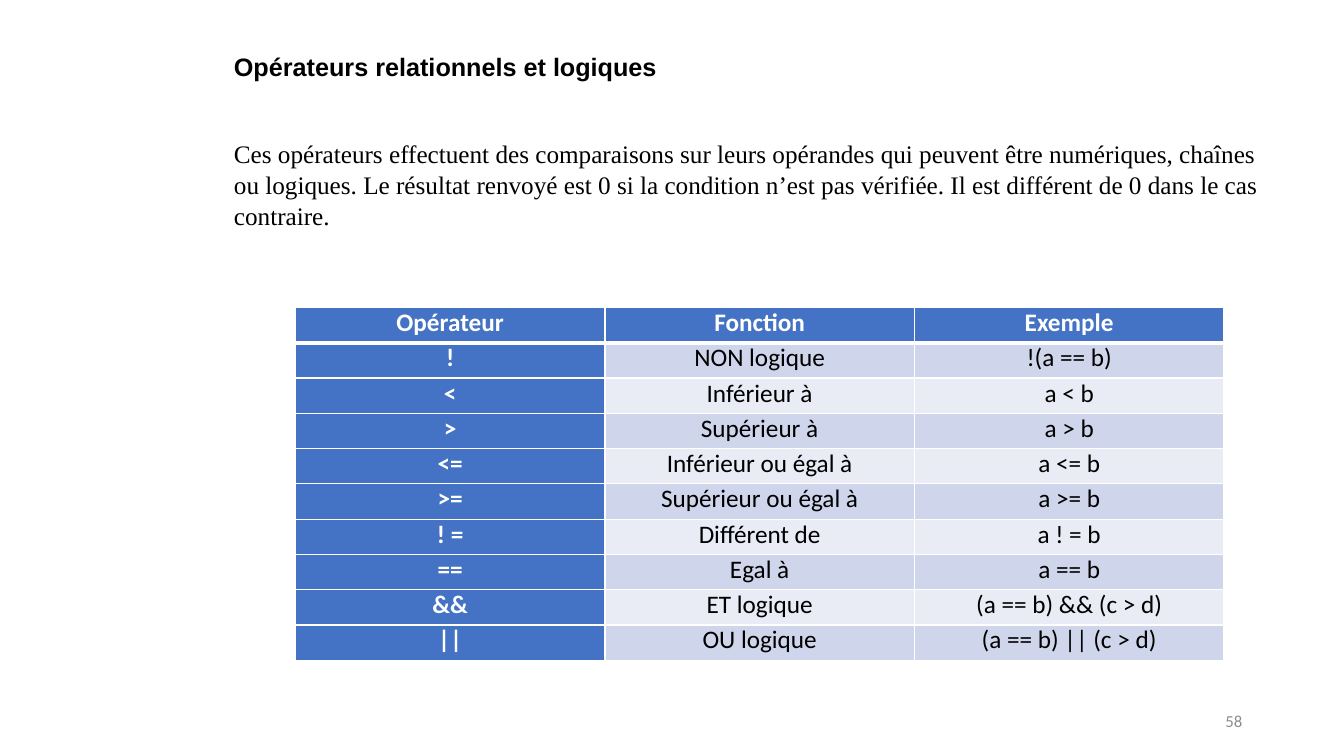
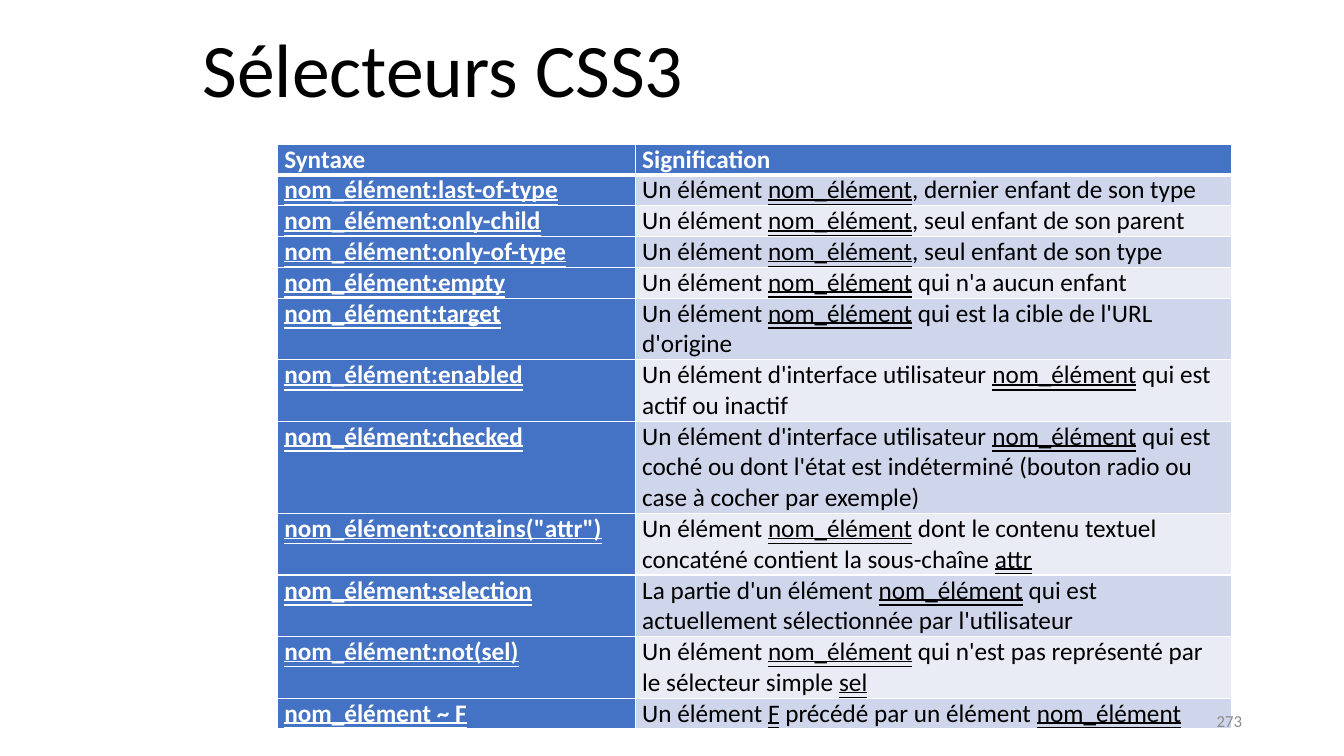
from lxml import etree
from pptx import Presentation
from pptx.dml.color import RGBColor
from pptx.enum import text
from pptx.oxml import ns
from pptx.util import Inches, Pt

BLACK = RGBColor(0x00, 0x00, 0x00)
WHITE = RGBColor(0xFF, 0xFF, 0xFF)
GREY = RGBColor(0x8C, 0x8C, 0x8C)
BLUE = RGBColor(0x44, 0x72, 0xC4)
BANDS = [RGBColor(0xE9, 0xEB, 0xF5), RGBColor(0xCF, 0xD5, 0xEA)]

LEFT, CENTER, RIGHT = text.PP_ALIGN.LEFT, text.PP_ALIGN.CENTER, text.PP_ALIGN.RIGHT
TOP, MIDDLE = text.MSO_ANCHOR.TOP, text.MSO_ANCHOR.MIDDLE
DOUBLE = text.MSO_UNDERLINE.DOUBLE_LINE

OPERATORS = [
    ("Opérateur", "Fonction", "Exemple"),
    ("!", "NON logique", "!(a == b)"),
    ("<", "Inférieur à", "a < b"),
    (">", "Supérieur à", "a > b"),
    ("<=", "Inférieur ou égal à", "a <= b"),
    (">=", "Supérieur ou égal à", "a >= b"),
    ("! =", "Différent de", "a ! = b"),
    ("==", "Egal à", "a == b"),
    ("&&", "ET logique", "(a == b) && (c > d)"),
    ("||", "OU logique", "(a == b) || (c > d)"),
]

# Text between asterisks is underlined.
SELECTORS = [
    ("Syntaxe", "Signification"),
    ("*nom_élément:last-of-type*", "Un élément *nom_élément*, dernier enfant de son type"),
    ("*nom_élément:only-child*", "Un élément *nom_élément*, seul enfant de son parent"),
    ("*nom_élément:only-of-type*", "Un élément *nom_élément*, seul enfant de son type"),
    ("*nom_élément:empty*", "Un élément *nom_élément* qui n'a aucun enfant"),
    ("*nom_élément:target*", "Un élément *nom_élément* qui est la cible de l'URL d'origine"),
    ("*nom_élément:enabled*",
     "Un élément d'interface utilisateur *nom_élément* qui est actif ou inactif"),
    ("*nom_élément:checked*",
     "Un élément d'interface utilisateur *nom_élément* qui est coché ou dont l'état est "
     "indéterminé (bouton radio ou case à cocher par exemple)"),
    ('*nom_élément:contains("attr")*',
     "Un élément *nom_élément* dont le contenu textuel concaténé contient la sous-chaîne *attr*"),
    ("*nom_élément:selection*",
     "La partie d'un élément *nom_élément* qui est actuellement sélectionnée par l'utilisateur"),
    ("*nom_élément:not(sel)*",
     "Un élément *nom_élément* qui n'est pas représenté par le sélecteur simple *sel*"),
    ("*nom_élément ~ F*", "Un élément *F* précédé par un élément *nom_élément*"),
]

SLIDES = [
    {
        "layout": 1,
        "title": "Opérateurs relationnels et logiques",
        "title_box": (2.22, 0.46, 10.45, 0.4),
        "title_font": {"name": "Arial", "size": Pt(18), "bold": True},
        "body": "Ces opérateurs effectuent des comparaisons sur leurs opérandes qui peuvent être "
                "numériques, chaînes ou logiques. Le résultat renvoyé est 0 si la condition n’est "
                "pas vérifiée. Il est différent de 0 dans le cas contraire.",
        "rows": OPERATORS,
        "table_at": (2.93, 3.05),
        "widths": [3.07] * 3,
        "row_height": 0.35,
        "align": CENTER,
        "number": "58",
    },
    {
        "layout": 5,
        "title": "Sélecteurs CSS3",
        "title_box": (1.91, 0.17, 11.6, 1.01),
        "title_font": {"name": "Calibri", "size": Pt(54), "bold": False},
        "body": None,
        "rows": SELECTORS,
        "table_at": (2.75, 1.43),
        "widths": [3.55, 5.92],
        "row_height": 0.3,
        "align": LEFT,
        "number": "273",
    },
]


def write(tf, content, color, font, align=LEFT, anchor=TOP):
    tf.word_wrap = True
    tf.vertical_anchor = anchor
    p = tf.paragraphs[0]
    p.alignment = align
    for i, part in enumerate(content.split("*")):
        if part:
            r = p.add_run()
            r.text = part
            r.font.color.rgb = color
            for key, value in font.items():
                setattr(r.font, key, value)
            if i % 2:
                r.font.underline = DOUBLE
    return p


def place(sp, box):
    for key, value in zip(("left", "top", "width", "height"), box):
        setattr(sp, key, Inches(value))
    sp.text_frame.auto_size = text.MSO_AUTO_SIZE.NONE


prs = Presentation()
prs.slide_width, prs.slide_height = Inches(13.33), Inches(7.5)

for page in SLIDES:
    s = prs.slides.add_slide(prs.slide_layouts[page["layout"]])
    place(s.shapes.title, page["title_box"])
    write(s.shapes.title.text_frame, page["title"], BLACK, page["title_font"])

    if page["body"]:
        sp = s.placeholders[1]
        place(sp, (2.22, 1.32, 10.45, 1.03))
        p = write(sp.text_frame, page["body"], BLACK, {"name": "Times New Roman", "size": Pt(18)})
        p.line_spacing = Pt(22)
        p.space_before = p.space_after = Pt(3)
        pPr = p._p.get_or_add_pPr()
        pPr.set("marL", "0")
        pPr.set("indent", "0")
        etree.SubElement(pPr, ns.qn("a:buNone"))

    rows, widths, height = page["rows"], page["widths"], page["row_height"]
    left, top = page["table_at"]
    table = s.shapes.add_table(
        len(rows), len(widths), Inches(left), Inches(top),
        Inches(sum(widths)), Inches(height * len(rows))).table
    for column, width in zip(table.columns, widths):
        column.width = Inches(width)
    for i, row in enumerate(rows):
        table.rows[i].height = Inches(height)
        for j, content in enumerate(row):
            cell = table.cell(i, j)
            cell.margin_left = cell.margin_right = Inches(0.07)
            cell.margin_top = cell.margin_bottom = 0
            tcPr = cell._tc.get_or_add_tcPr()
            for side in "LRTB":
                thick = (side, i) in (("B", 0), ("T", 1))
                ln = etree.SubElement(tcPr, ns.qn("a:ln" + side), w=str(Pt(3 if thick else 1)))
                fill = etree.SubElement(ln, ns.qn("a:solidFill"))
                etree.SubElement(fill, ns.qn("a:srgbClr"), val=str(WHITE))
            head = i == 0 or j == 0
            cell.fill.solid()
            cell.fill.fore_color.rgb = BLUE if head else BANDS[i % 2]
            font = {"name": "Calibri", "size": Pt(18), "bold": head}
            p = write(cell.text_frame, content, WHITE if head else BLACK, font, page["align"])
            p.space_before = p.space_after = Pt(3)

    sp = s.shapes.add_textbox(0, 0, 0, 0)
    place(sp, (9.42, 6.95, 3, 0.4))
    write(sp.text_frame, page["number"], GREY, {"name": "Calibri", "size": Pt(12)}, RIGHT, MIDDLE)

prs.save("out.pptx")
